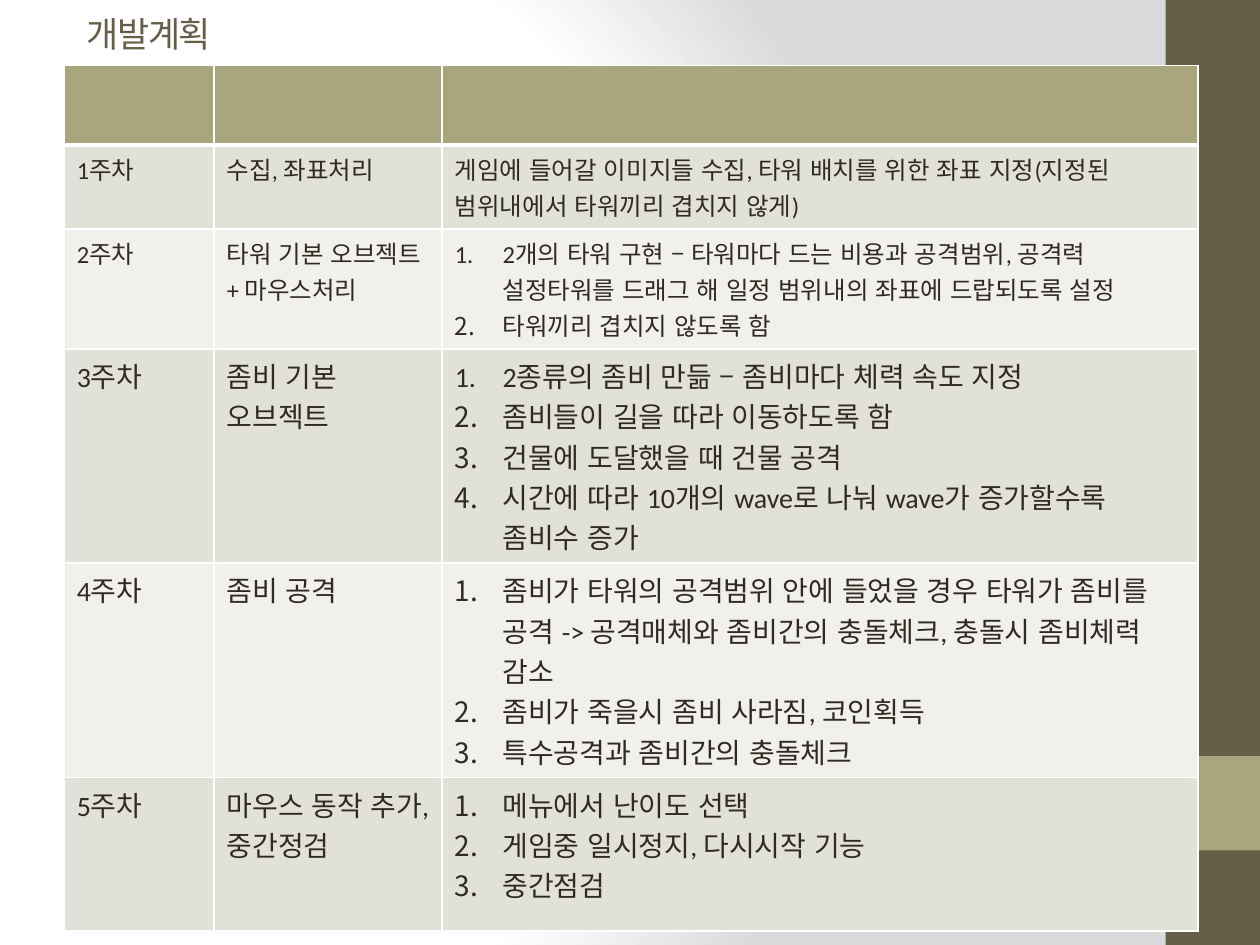
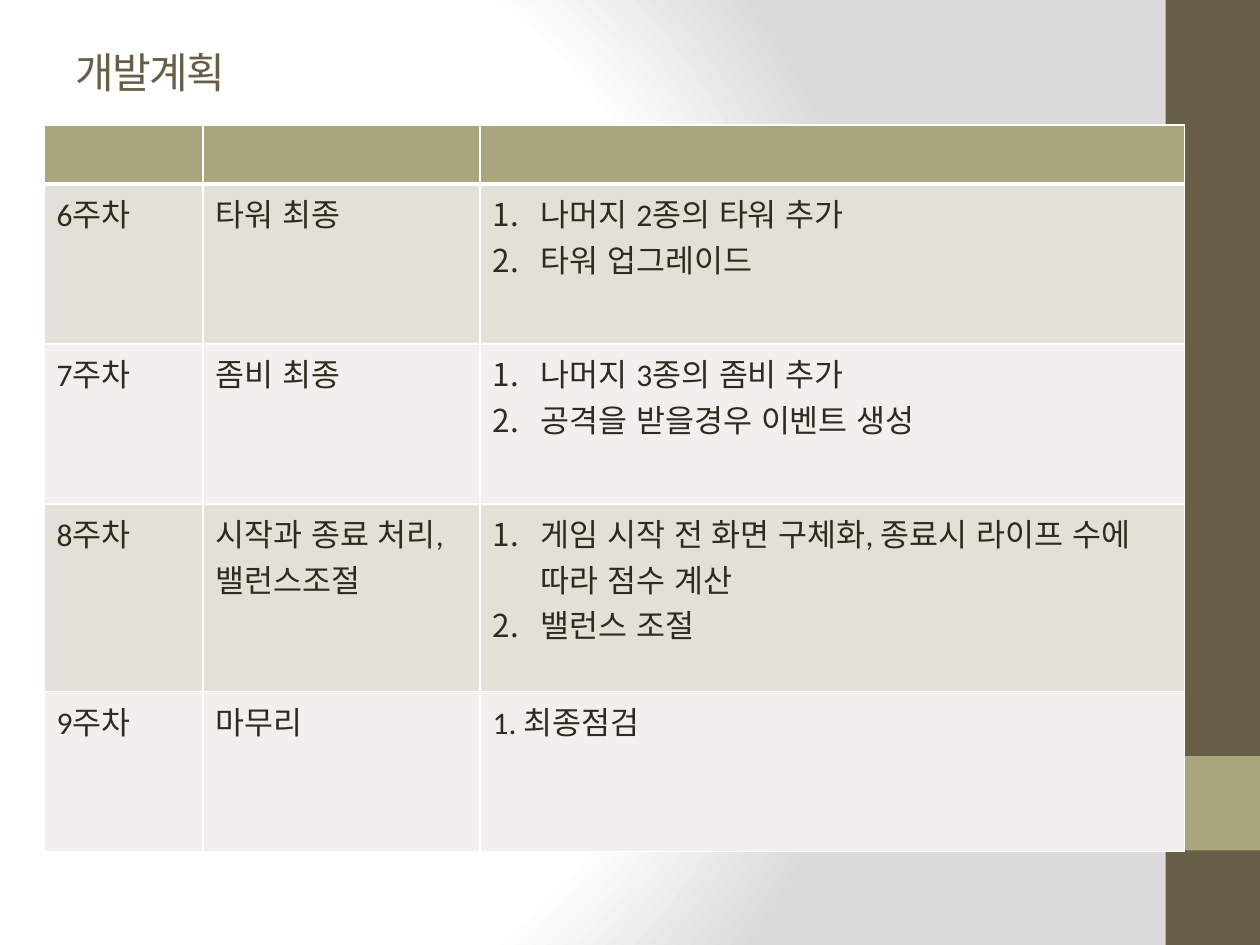
from lxml import etree
from pptx import Presentation
from pptx import util as u
from pptx.dml.color import RGBColor
from pptx.enum import lang, shapes, text
from pptx.oxml import parse_xml
from pptx.oxml.ns import nsdecls, qn

COLOURS = {
    "brown": "675E47",
    "olive": "A9A57C",
    "band_dark": "E2E1D7",
    "band_light": "F1F0EC",
    "ink": "2F2B20",
    "white": "FFFFFF",
    "grey": "DADADA",
}
TITLE_FONT, BODY_FONT = "Cambria", "Calibri"
TITLE = "개발계획"

# Each row: week, topic lines, detail lines, text size, height.
# A list of details is numbered; a plain string is not.
EARLY_WEEKS = [
    ("1주차", "수집, 좌표처리",
     "게임에 들어갈 이미지들 수집, 타워 배치를 위한 좌표 지정(지정된 범위내에서 타워끼리 겹치지 않게)",
     14, 0.66),
    ("2주차", "타워 기본 오브젝트 + 마우스처리",
     ["2개의 타워 구현 – 타워마다 드는 비용과 공격범위, 공격력 설정타워를 드래그 해 일정 범위내의 좌표에 드랍되도록 설정",
      "타워끼리 겹치지 않도록 함"], 14, 0.95),
    ("3주차", "좀비 기본 오브젝트",
     ["2종류의 좀비 만듦 – 좀비마다 체력 속도 지정",
      "좀비들이 길을 따라 이동하도록 함",
      "건물에 도달했을 때 건물 공격",
      "시간에 따라 10개의 wave로 나눠 wave가 증가할수록 좀비수 증가"], 16, 1.7),
    ("4주차", "좀비 공격",
     ["좀비가 타워의 공격범위 안에 들었을 경우 타워가 좀비를 공격 -> 공격매체와 좀비간의 충돌체크, 충돌시 좀비체력 감소",
      "좀비가 죽을시 좀비 사라짐, 코인획득",
      "특수공격과 좀비간의 충돌체크"], 16, 1.7),
    ("5주차", "마우스 동작 추가, 중간정검",
     ["메뉴에서 난이도 선택",
      "게임중 일시정지, 다시시작 기능",
      "중간점검"], 16, 1.22),
]
LATE_WEEKS = [
    ("6주차", "타워 최종",
     ["나머지 2종의 타워 추가", "타워 업그레이드"], 18, 1.27),
    ("7주차", "좀비 최종",
     ["나머지 3종의 좀비 추가", "공격을 받을경우 이벤트 생성"], 18, 1.27),
    ("8주차", "시작과 종료 처리,\n밸런스조절",
     ["게임 시작 전 화면 구체화, 종료시 라이프 수에 따라 점수 계산", "밸런스 조절"],
     18, 1.49),
    ("9주차", "마무리", "1. 최종점검", 18, 1.27),
]


def colour(name):
    return RGBColor.from_string(COLOURS[name])


def inches(box):
    return [u.Inches(length) for length in box]


def set_background(master):
    """Give the master a white to grey glow spreading from the left."""
    fill = master.background.fill
    fill.solid()
    stops = "".join(
        f'<a:gs pos="{place * 1000}"><a:srgbClr val="{COLOURS[name]}"/></a:gs>'
        for place, name in ((0, "white"), (75, "white"), (100, "grey")))
    gradient = parse_xml(
        f'<a:gradFill {nsdecls("a")} rotWithShape="1"><a:gsLst>{stops}</a:gsLst>'
        '<a:path path="circle">'
        '<a:fillToRect l="20000" t="50000" r="100000" b="50000"/>'
        '</a:path></a:gradFill>')
    solid = master.element.find(".//" + qn("p:bgPr")).find(qn("a:solidFill"))
    solid.getparent().replace(solid, gradient)


def add_side_band(page, box):
    left, top, width, height = box
    accent = (left, top + 0.8 * height, width, 0.1 * height)
    for area, name in ((box, "brown"), (accent, "olive")):
        band = page.shapes.add_shape(shapes.MSO_SHAPE.RECTANGLE, *inches(area))
        band.shadow.inherit = False
        band.fill.solid()
        band.fill.fore_color.rgb = colour(name)
        band.line.fill.background()


def format_span(span, font, size, name):
    span.font.name = font
    span.font.size = u.Pt(size)
    span.font.color.rgb = colour(name)
    span.font.language_id = lang.MSO_LANGUAGE_ID.KOREAN


def format_title(page, box, size):
    title = page.shapes.title
    title.left, title.top, title.width, title.height = inches(box)
    frame = title.text_frame
    frame.text = TITLE
    frame.auto_size = text.MSO_AUTO_SIZE.NONE
    frame.vertical_anchor = text.MSO_ANCHOR.MIDDLE
    para = frame.paragraphs[0]
    para.alignment = text.PP_ALIGN.LEFT
    span = para.runs[0]
    format_span(span, TITLE_FONT, size, "brown")
    span._r.get_or_add_rPr().set("spc", "-100")


def number_paragraph(para):
    indent = u.Inches(0.38)
    properties = para._p.get_or_add_pPr()
    properties.set("marL", str(indent))
    properties.set("indent", str(-indent))
    etree.SubElement(properties, qn("a:buFont"), typeface="+mj-lt")
    etree.SubElement(properties, qn("a:buAutoNum"), type="arabicPeriod")


def style_cell(cell, fill, top=1, bottom=1):
    """Set the fill and the white borders, with widths in points."""
    properties = cell._tc.get_or_add_tcPr()
    for side, width in (("L", 1), ("R", 1), ("T", top), ("B", bottom)):
        properties.append(parse_xml(
            f'<a:ln{side} {nsdecls("a")} w="{u.Pt(width)}"><a:solidFill>'
            f'<a:srgbClr val="{COLOURS["white"]}"/></a:solidFill></a:ln{side}>'))
    cell.fill.solid()
    cell.fill.fore_color.rgb = colour(fill)


def fill_cell(cell, content, size):
    numbered = isinstance(content, list)
    cell.text_frame.text = "\n".join(content) if numbered else content
    for para in cell.text_frame.paragraphs:
        if numbered:
            number_paragraph(para)
        for span in para.runs:
            format_span(span, BODY_FONT, size, "ink")


def add_plan_table(page, corner, widths, header_height, weeks):
    heights = [header_height] + [week[-1] for week in weeks]
    box = (*corner, sum(widths), sum(heights))
    table = page.shapes.add_table(len(heights), len(widths), *inches(box)).table
    for column, width in zip(table.columns, widths):
        column.width = u.Inches(width)
    for row, height in zip(table.rows, heights):
        row.height = u.Inches(height)
    for cell in table.rows[0].cells:
        style_cell(cell, "olive", bottom=3)
    for number, (*contents, size, _) in enumerate(weeks, 1):
        fill = "band_dark" if number % 2 else "band_light"
        for cell, content in zip(table.rows[number].cells, contents):
            style_cell(cell, fill, top=3 if number == 1 else 1)
            fill_cell(cell, content, size)


def add_plan_slide(deck, title_box, title_size, corner, widths, header_height, weeks):
    page = deck.slides.add_slide(deck.slide_layouts.get_by_name("Title Only"))
    add_side_band(page, (9.25, 0, 0.75, 7.5))
    format_title(page, title_box, title_size)
    add_plan_table(page, corner, widths, header_height, weeks)


def main():
    deck = Presentation()
    deck.slide_width, deck.slide_height = u.Inches(10), u.Inches(7.5)
    set_background(deck.slide_master)
    add_plan_slide(deck, (0.59, 0.01, 9, 0.51), 20,
                   (0.51, 0.52), (1.19, 1.81, 6), 0.63, EARLY_WEEKS)
    add_plan_slide(deck, (0.5, 0.3, 9, 0.54), 24,
                   (0.35, 0.99), (1.26, 2.2, 5.59), 0.47, LATE_WEEKS)
    deck.save("out.pptx")


if __name__ == "__main__":
    main()
